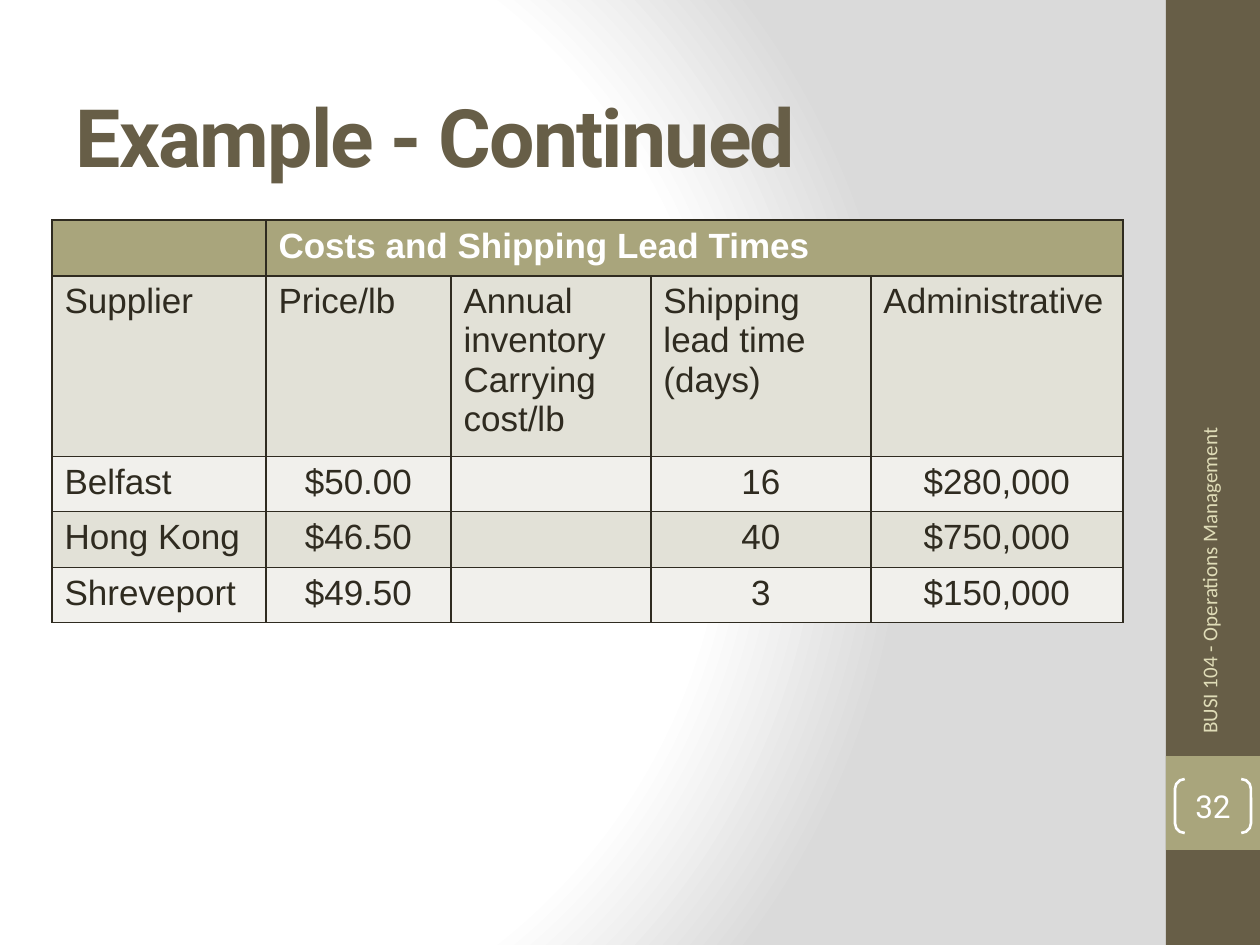
from lxml import etree
from pptx import Presentation
from pptx.dml.color import RGBColor
from pptx.enum.shapes import MSO_SHAPE
from pptx.enum.text import MSO_ANCHOR, PP_ALIGN
from pptx.oxml import parse_xml
from pptx.oxml.ns import nsdecls, qn
from pptx.util import Emu, Pt

# Content
TITLE = "Example - Continued"
COURSE = "BUSI 104 - Operations Management"
PAGE_NUMBER = "32"
TABLE_ROWS = [
    ["", "Costs and Shipping Lead Times", "", "", ""],
    ["Supplier", "Price/lb", "Annual inventory Carrying cost/lb",
     "Shipping lead time (days)", "Administrative"],
    ["Belfast", "$50.00", "", "16", "$280,000"],
    ["Hong Kong", "$46.50", "", "40", "$750,000"],
    ["Shreveport", "$49.50", "", "3", "$150,000"],
]

# Layout in px, 126 to the inch
COLUMN_WIDTHS = [214, 185, 200, 220, 252]
ROW_HEIGHTS = [56, 169, 55, 56, 55]
TABLE_LEFT, TABLE_TOP = 52, 220
SIDEBAR_LEFT, SIDEBAR_WIDTH, SLIDE_HEIGHT = 1166, 94, 945

COLORS = {
    "brown": "675E47", "olive": "A9A57C", "cream": "DFDCB7", "ink": "2F2B20",
    "band_dark": "E2E1D7", "band_light": "F1F0EC", "white": "FFFFFF", "gray": "DADADA",
}


def px(value):
    return Emu(round(value * 914400 / 126))


def box(left, top, width, height):
    return px(left), px(top), px(width), px(height)


def color(name):
    return RGBColor.from_string(COLORS[name])


def style_text(text_frame, font_name, size, color_name, bold=False, align=PP_ALIGN.LEFT):
    for paragraph in text_frame.paragraphs:
        paragraph.alignment = align
        for run in paragraph.runs:
            run.font.name = font_name
            run.font.size = Pt(size)
            run.font.bold = bold
            run.font.color.rgb = color(color_name)


def add_panel(slide, top, height, color_name):
    panel = slide.shapes.add_shape(
        MSO_SHAPE.RECTANGLE, *box(SIDEBAR_LEFT, top, SIDEBAR_WIDTH, height))
    panel.shadow.inherit = False
    panel.fill.solid()
    panel.fill.fore_color.rgb = color(color_name)
    panel.line.fill.background()


def set_borders(cell, color_name):
    properties = cell._tc.get_or_add_tcPr()
    for side in ("lnL", "lnR", "lnT", "lnB"):
        line = etree.SubElement(properties, qn(f"a:{side}"), w=str(Pt(1)))
        fill = etree.SubElement(line, qn("a:solidFill"))
        etree.SubElement(fill, qn("a:srgbClr"), val=COLORS[color_name])


def set_background(slide):
    stops = [(0, "white"), (75, "white"), (100, "gray")]
    stop_xml = "".join(
        f'<a:gs pos="{position * 1000}"><a:srgbClr val="{COLORS[name]}"/></a:gs>'
        for position, name in stops)
    background = parse_xml(
        f'<p:bg {nsdecls("p", "a")}><p:bgPr><a:gradFill rotWithShape="1">'
        f'<a:gsLst>{stop_xml}</a:gsLst><a:path path="circle">'
        '<a:fillToRect l="20000" t="50000" r="100000" b="50000"/></a:path>'
        '</a:gradFill><a:effectLst/></p:bgPr></p:bg>')
    slide._element.cSld.insert(0, background)


def add_cost_table(slide):
    table = slide.shapes.add_table(
        len(TABLE_ROWS), len(COLUMN_WIDTHS),
        *box(TABLE_LEFT, TABLE_TOP, sum(COLUMN_WIDTHS), sum(ROW_HEIGHTS))).table
    for column, width in zip(table.columns, COLUMN_WIDTHS):
        column.width = px(width)
    for row, height in zip(table.rows, ROW_HEIGHTS):
        row.height = px(height)
    for row_index, texts in enumerate(TABLE_ROWS):
        is_header = row_index == 0
        band = "olive" if is_header else "band_dark" if row_index % 2 else "band_light"
        for column_index, text in enumerate(texts):
            cell = table.cell(row_index, column_index)
            set_borders(cell, "ink")
            cell.fill.solid()
            cell.fill.fore_color.rgb = color(band)
            cell.text_frame.text = text
            is_value = row_index > 1 and column_index > 0
            style_text(cell.text_frame, "Arial", 20, "white" if is_header else "ink",
                       bold=is_header, align=PP_ALIGN.CENTER if is_value else PP_ALIGN.LEFT)
    table.cell(0, 1).merge(table.cell(0, len(COLUMN_WIDTHS) - 1))


def main():
    presentation = Presentation()
    presentation.slide_width, presentation.slide_height = px(1260), px(SLIDE_HEIGHT)
    slide = presentation.slides.add_slide(presentation.slide_layouts[5])
    set_background(slide)

    # Sidebar
    add_panel(slide, 0, SLIDE_HEIGHT, "brown")
    add_panel(slide, 756, 94, "olive")

    # Title
    title = slide.shapes.title
    title.left, title.top, title.width, title.height = box(63, 38, 1050, 195)
    title.text_frame.text = TITLE
    title.text_frame.vertical_anchor = MSO_ANCHOR.MIDDLE
    style_text(title.text_frame, "Roboto", 46, "brown", bold=True)
    title.text_frame.paragraphs[0].runs[0].font._element.set("spc", "-100")

    # Course name, read upwards
    course = slide.shapes.add_textbox(*box(978, 490, 462, 50))
    course.rotation = 270
    course.text_frame.word_wrap = True
    course.text_frame.vertical_anchor = MSO_ANCHOR.MIDDLE
    course.text_frame.text = COURSE
    style_text(course.text_frame, "Calibri", 12, "cream")

    # Page number in brackets
    number = slide.shapes.add_shape(MSO_SHAPE.DOUBLE_BRACKET, *box(1175, 779, 76, 54))
    number.adjustments[0] = 0.18
    number.shadow.inherit = False
    number.fill.background()
    number.line.color.rgb = color("white")
    number.line.width = Pt(1.5)
    frame = number.text_frame
    frame.margin_left = frame.margin_right = frame.margin_top = frame.margin_bottom = 0
    frame.vertical_anchor = MSO_ANCHOR.MIDDLE
    frame.text = PAGE_NUMBER
    style_text(frame, "Roboto", 18, "white", align=PP_ALIGN.CENTER)

    add_cost_table(slide)
    presentation.save("out.pptx")


if __name__ == "__main__":
    main()
